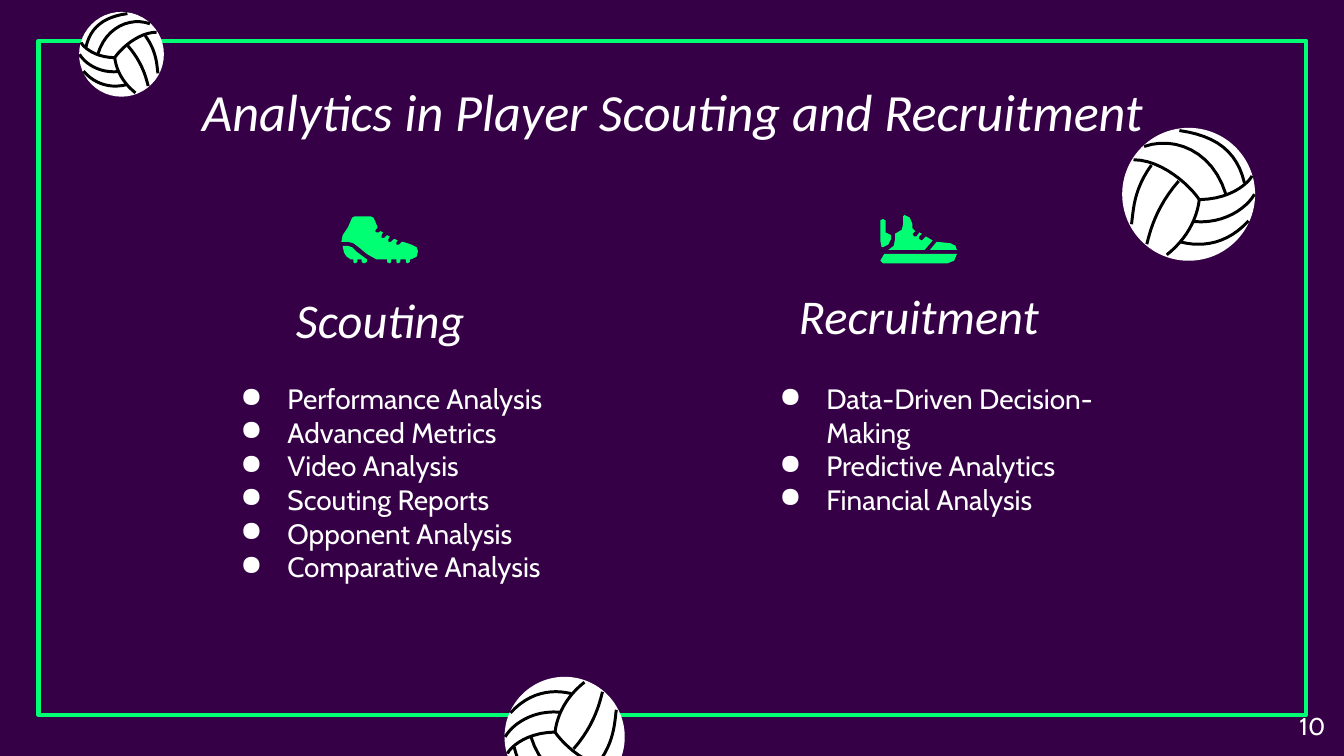
from lxml.etree import SubElement
from pptx import Presentation
from pptx.dml.color import RGBColor
from pptx.enum.shapes import MSO_SHAPE
from pptx.enum.text import MSO_ANCHOR, MSO_AUTO_SIZE, PP_ALIGN
from pptx.oxml.ns import qn
from pptx.util import Pt

PURPLE = RGBColor(0x36, 0x00, 0x47)
GREEN = RGBColor(0x00, 0xFF, 0x73)
WHITE = RGBColor(0xFF, 0xFF, 0xFF)
BLACK = RGBColor(0x00, 0x00, 0x00)

TITLE = {"name": "Calibri", "size": Pt(28), "italic": True, "bold": False}
HEADING = {"name": "Calibri", "size": Pt(26), "italic": True}
BODY = {"name": "Cabin", "size": Pt(15)}
NUMBER = {"name": "Cabin", "size": Pt(13)}

# Seams of a ball: cubic curves around its centre, in percent of its radius
SEAMS = [
    [(-14, -96), (42, -88), (73, -64), (84, -17)],
    [(-67, -72), (-22, -88), (36, -66), (56, 0)],
    [(-83, -52), (-40, -52), (2, -13), (16, 8)],
    [(-56, -44), (-83, -7), (-83, 23), (-86, 45)],
    [(-15, -20), (-51, 21), (-59, 60), (-63, 75)],
    [(16, 8), (12, 39), (-4, 68), (-33, 91)],
    [(-11, 72), (22, 80), (59, 74), (90, 40)],
    [(8, 41), (53, 45), (87, 21), (99, 0)],
    [(16, 8), (71, 7), (95, -24), (95, -28)],
]
CURVE_STEPS = 12

# Icon outlines on a grid whose unit is ICON_UNIT points
ICON_UNIT = 0.72
BOOT = [
    [(10, 0), (8, 1), (5, 8), (1, 14), (0, 19), (5, 19), (9, 20), (13, 23),
     (19, 28), (26, 32), (34, 32), (34, 34), (36, 35), (37, 34), (37, 32),
     (41, 32), (41, 34), (42, 35), (44, 34), (44, 32), (48, 32), (48, 34),
     (49, 35), (51, 34), (51, 32), (52, 32), (56, 30), (57, 26), (56, 23),
     (52, 21), (46, 19), (45, 19), (43, 21), (41, 21), (41, 19), (42, 18),
     (40, 17), (39, 17), (37, 19), (35, 19), (35, 17), (36, 15), (34, 14),
     (32, 16), (30, 16), (30, 14), (31, 12), (29, 11), (28, 12), (26, 12),
     (25, 11), (27, 8), (24, 1), (22, 0)],
    [(1, 22), (2, 27), (4, 30), (7, 32), (9, 32), (9, 34), (10, 35), (12, 34),
     (12, 32), (15, 32), (15, 34), (17, 35), (19, 34), (19, 32), (11, 26),
     (8, 23), (5, 22)],
]
TRAINER = [
    [(42, 20), (37, 26), (57, 26), (56, 23), (52, 21)],
    [(18, 0), (17, 1), (17, 7), (16, 11), (11, 14), (11, 18), (10, 23), (6, 26),
     (33, 26), (39, 19), (34, 16), (32, 18), (31, 19), (29, 18), (29, 16),
     (31, 14), (29, 13), (27, 16), (25, 16), (24, 14), (26, 12), (24, 10),
     (24, 7), (22, 2)],
    [(2, 3), (0, 4), (0, 19), (1, 24), (2, 24), (6, 22), (8, 18), (8, 15),
     (4, 13), (4, 4)],
    [(3, 29), (0, 34), (2, 36), (50, 36), (55, 34), (57, 29)],
]

prs = Presentation()
prs.slide_width, prs.slide_height = Pt(720), Pt(405)
slide = prs.slides.add_slide(prs.slide_layouts[5])
slide.background.fill.solid()
slide.background.fill.fore_color.rgb = PURPLE
shapes = slide.shapes


def add_outline(contours, close):
    """Build one freeform from contours given in points."""
    builder = None
    for contour in contours:
        start, *rest = [(Pt(x), Pt(y)) for x, y in contour]
        if builder is None:
            builder = shapes.build_freeform(*start)
        else:
            builder.move_to(*start)
        builder.add_line_segments(rest, close=close)
    outline = builder.convert_to_shape()
    outline.shadow.inherit = False
    return outline


def write(holder, lines, style, align=PP_ALIGN.LEFT, anchor=MSO_ANCHOR.TOP, bullets=False):
    frame = holder.text_frame
    frame.word_wrap = True
    frame.auto_size = MSO_AUTO_SIZE.NONE
    frame.vertical_anchor = anchor
    for side in ("left", "right", "top", "bottom"):
        setattr(frame, f"margin_{side}", Pt(7.2))
    for index, line in enumerate(lines):
        paragraph = frame.add_paragraph() if index else frame.paragraphs[0]
        paragraph.alignment = align
        if bullets:
            properties = paragraph._p.get_or_add_pPr()
            properties.set("marL", str(Pt(36)))
            properties.set("indent", str(-Pt(25.2)))
            SubElement(properties, qn("a:buChar")).set("char", "●")
        run = paragraph.add_run()
        run.text = line
        for name, value in style.items():
            setattr(run.font, name, value)
        run.font.color.rgb = WHITE


title = shapes.title
title.left, title.top, title.width, title.height = Pt(56.7), Pt(35.3), Pt(607), Pt(45.4)
write(title, ["Analytics in Player Scouting and Recruitment"], TITLE, PP_ALIGN.CENTER)

border = shapes.add_shape(MSO_SHAPE.RECTANGLE, Pt(20.7), Pt(21.8), Pt(679), Pt(383 - 0.2))
border.height = Pt(361.2)
border.shadow.inherit = False
border.fill.background()
border.line.color.rgb = GREEN
border.line.width = Pt(2.25)

# Centre, radius, and the horizontal and vertical flip of each ball
for centre_x, centre_y, radius, flip_x, flip_y in [
    (302.5, 394.8, 32.2, -1, -1),
    (65.1, 29.1, 22.7, -1, 1),
    (636.8, 104.1, 35.6, 1, 1),
]:
    ball = shapes.add_shape(MSO_SHAPE.OVAL, Pt(centre_x - radius), Pt(centre_y - radius),
                            Pt(2 * radius), Pt(2 * radius))
    ball.shadow.inherit = False
    ball.fill.solid()
    ball.fill.fore_color.rgb = WHITE
    ball.line.fill.background()

    curves = []
    for seam in SEAMS:
        curve = []
        for step in range(CURVE_STEPS + 1):
            t = step / CURVE_STEPS
            weights = ((1 - t) ** 3, 3 * t * (1 - t) ** 2, 3 * t * t * (1 - t), t ** 3)
            x, y = (sum(w * p[axis] for w, p in zip(weights, seam)) for axis in (0, 1))
            curve.append((centre_x + flip_x * x * radius / 100,
                          centre_y + flip_y * y * radius / 100))
        curves.append(curve)
    seam_lines = add_outline(curves, close=False)
    seam_lines.fill.background()
    seam_lines.line.color.rgb = BLACK
    seam_lines.line.width = Pt(1.6)

# Icon, icon left and top, heading and its box, list and its box
for icon, icon_x, icon_y, heading, heading_box, points, list_box in [
    (BOOT, 182.9, 115.9, "Scouting", (105.1, 147.6, 197.3, 46.1),
     ["Performance Analysis", "Advanced Metrics", "Video Analysis",
      "Scouting Reports", "Opponent Analysis", "Comparative Analysis"],
     (110.9, 197.3, 246.2, 138.2)),
    (TRAINER, 471.6, 115.2, "Recruitment", (393.8, 147.6, 197.3, 43.9),
     ["Data-Driven Decision-Making", "Predictive Analytics", "Financial Analysis"],
     (399.6, 197.3, 201.6, 138.2)),
]:
    shoe = add_outline([[(icon_x + x * ICON_UNIT, icon_y + y * ICON_UNIT) for x, y in part]
                        for part in icon], close=True)
    shoe.fill.solid()
    shoe.fill.fore_color.rgb = GREEN
    shoe.line.fill.background()
    write(shapes.add_textbox(*map(Pt, heading_box)), [heading], HEADING,
          PP_ALIGN.CENTER, MSO_ANCHOR.BOTTOM)
    write(shapes.add_textbox(*map(Pt, list_box)), points, BODY, bullets=True)

page_number = shapes.add_textbox(Pt(673.9), Pt(373.7), Pt(43.2), Pt(31))
write(page_number, ["10"], NUMBER, PP_ALIGN.RIGHT)

prs.save("out.pptx")
